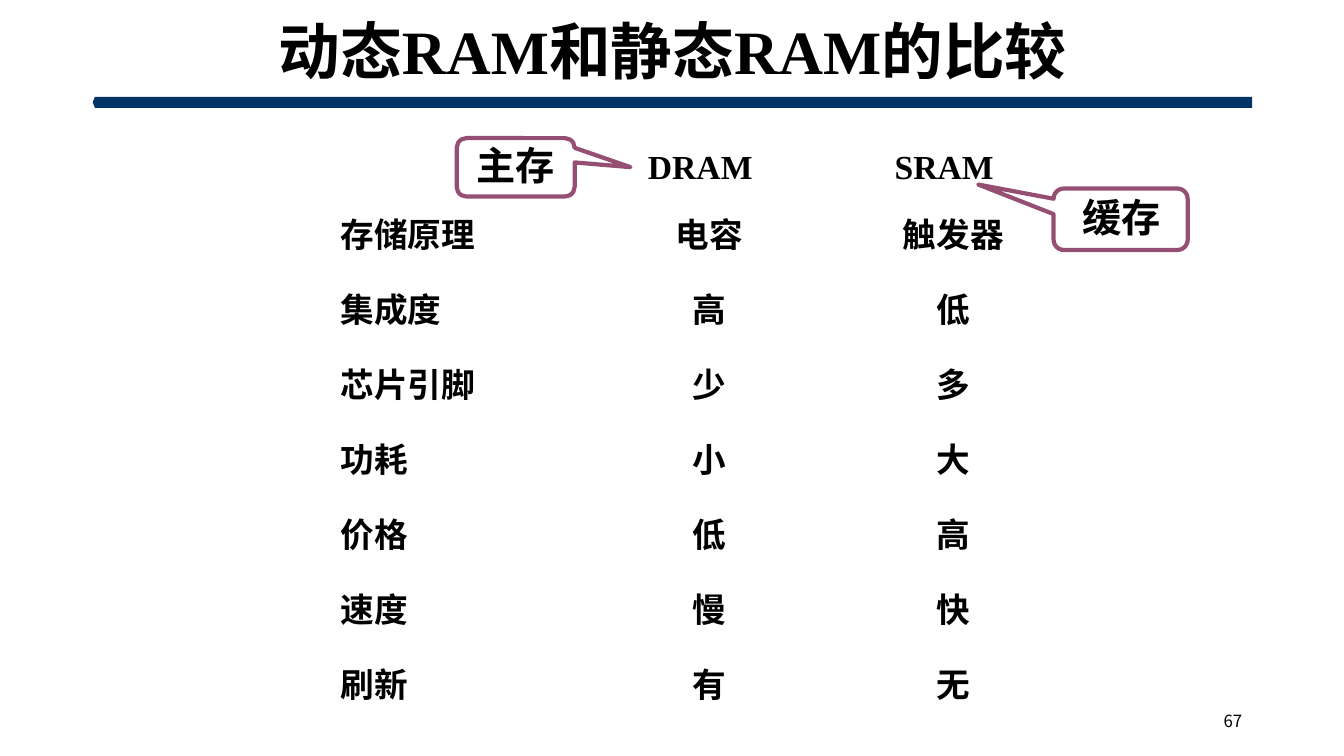
from lxml.etree import SubElement
from pptx import Presentation
from pptx.dml.color import RGBColor
from pptx.enum.shapes import MSO_SHAPE as SHAPE
from pptx.enum.text import MSO_ANCHOR as ANCHOR, MSO_AUTO_SIZE as FIT, PP_ALIGN as ALIGN
from pptx.oxml.ns import qn
from pptx.util import Inches, Pt

COLORS = {"text": "000000", "bar": "003366", "callout": "954F72"}
LATIN, CJK = "Times New Roman", "Noto Sans CJK SC"


def write(s, text, size, align=ALIGN.CENTER, anchor=ANCHOR.TOP, bold=True, name=LATIN):
    tf = s.text_frame
    for key, value in {"word_wrap": True, "auto_size": FIT.NONE,
                       "vertical_anchor": anchor}.items():
        setattr(tf, key, value)
    p = tf.paragraphs[0]
    p.alignment = align
    r = p.add_run()
    r.text = text
    for key, value in {"size": Pt(size), "bold": bold, "name": name}.items():
        setattr(r.font, key, value)
    r.font.color.rgb = RGBColor.from_string(COLORS["text"])
    SubElement(r.font._element, qn("a:ea"), typeface=CJK)
    return p


def box(left, top, width, height):
    return s_shapes.add_textbox(*map(Inches, (left, top, width, height)))


prs = Presentation()
prs.slide_width, prs.slide_height = Inches(13.33), Inches(7.5)
slide = prs.slides.add_slide(prs.slide_layouts[5])
s_shapes = slide.shapes

# Title and the bar below it
LEFT, WIDTH = 0.92, 11.5
title = s_shapes.title
title.left, title.top, title.width, title.height = map(Inches, (LEFT, 0.13, WIDTH, 0.82))
p = write(title, "动态RAM和静态RAM的比较", 44, anchor=ANCHOR.MIDDLE)
p.line_spacing = 0.9

bar = s_shapes.add_shape(SHAPE.PENTAGON, *map(Inches, (LEFT, 0.96, WIDTH, 0.11)))
bar.adjustments[0] = 0.2
bar.element.spPr.xfrm.set("flipH", "1")
bar.shadow.inherit = False
bar.fill.solid()
bar.fill.fore_color.rgb = RGBColor.from_string(COLORS["bar"])
bar.line.fill.background()

# Column heads
CELL_W, CELL_H, COL_STEP = 2.67, 0.5, 2.42
for col, head in enumerate(["DRAM", "SRAM"]):
    write(box(5.61 + col * COL_STEP, 1.4, CELL_W, CELL_H), head, 24)

# Comparison grid
ROWS = [
    ("存储原理", "电容", "触发器"),
    ("集成度", "高", "低"),
    ("芯片引脚", "少", "多"),
    ("功耗", "小", "大"),
    ("价格", "低", "高"),
    ("速度", "慢", "快"),
    ("刷新", "有", "无"),
]
TOP, ROW_STEP = 2.07, 0.744
for row, cells in enumerate(ROWS):
    for col, text in enumerate(cells):
        left = 3.28 + col * COL_STEP
        align = ALIGN.CENTER if col else ALIGN.LEFT
        write(box(left, TOP + row * ROW_STEP, CELL_W, CELL_H), text, 24, align)

# Callouts: frame, pointer tip, label box
CALLOUTS = [
    ("主存", (4.53, 1.37, 1.17, 0.58), (0.973, -0.003), (4.6, 1.35, 1.03, 0.57)),
    ("缓存", (10.45, 1.87, 1.33, 0.61), (-1.062, -0.565), (10.6, 1.87, 1.04, 0.57)),
]
for text, frame, tip, label in CALLOUTS:
    s = s_shapes.add_shape(SHAPE.ROUNDED_RECTANGULAR_CALLOUT, *map(Inches, frame))
    for i, value in enumerate(tip):
        s.adjustments[i] = value
    s.shadow.inherit = False
    s.fill.background()
    s.line.color.rgb = RGBColor.from_string(COLORS["callout"])
    s.line.width = Pt(3)
    write(box(*label), text, 28)

# Page number
write(box(9.42, 6.95, 3, 0.4), "67", 12, ALIGN.RIGHT, ANCHOR.MIDDLE, False, CJK)

prs.save("out.pptx")
